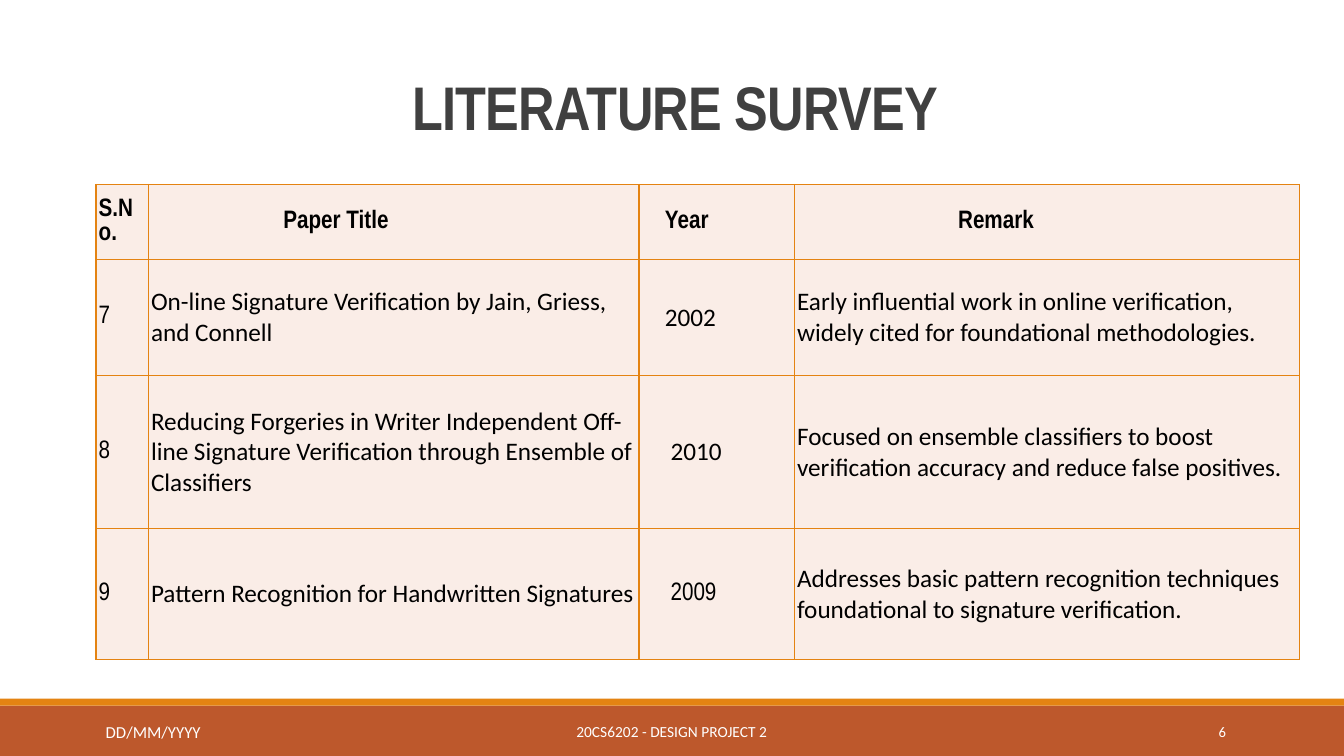
from lxml import etree
from pptx import Presentation
from pptx.dml.color import RGBColor
from pptx.enum.shapes import MSO_SHAPE
from pptx.enum.text import MSO_ANCHOR, PP_ALIGN
from pptx.oxml.ns import qn
from pptx.util import Pt

RECTANGLE = MSO_SHAPE.RECTANGLE
MIDDLE, TOP = MSO_ANCHOR.MIDDLE, MSO_ANCHOR.TOP
LEFT, CENTER, RIGHT = PP_ALIGN.LEFT, PP_ALIGN.CENTER, PP_ALIGN.RIGHT
NARROW, CALIBRI = "Arial Narrow", "Calibri"
ORANGE, RUST, BLUSH = "E48312", "BD582C", "FAEDE7"
BLACK, WHITE, CHARCOAL = "000000", "FFFFFF", "404040"


def color(hex_code):
    return RGBColor.from_string(hex_code)


def write(frame, text, size=18, font=CALIBRI, ink=BLACK, bold=False,
          align=LEFT, spacing=None, tracking=None):
    """Fill a text frame with one formatted paragraph; tracking is in points."""
    frame.word_wrap = True
    paragraph = frame.paragraphs[0]
    paragraph.alignment = align
    if spacing:
        paragraph.line_spacing = spacing
    run = paragraph.add_run()
    run.text = text
    run.font.size = Pt(size)
    run.font.name = font
    run.font.bold = bold
    run.font.color.rgb = color(ink)
    if tracking:
        run._r.get_or_add_rPr().set("spc", str(round(tracking * 100)))


prs = Presentation()
prs.slide_width, prs.slide_height = Pt(960), Pt(540)
slide = prs.slides.add_slide(prs.slide_layouts[6])

# Footer bands
for top, height, fill in [(504, 36, RUST), (499, 5, ORANGE)]:
    band = slide.shapes.add_shape(RECTANGLE, 0, Pt(top), prs.slide_width, Pt(height))
    band.shadow.inherit = False
    band.fill.solid()
    band.fill.fore_color.rgb = color(fill)
    band.line.fill.background()

# Survey table: each entry is text, font, left margin
indent = 2
papers = [
    [("S.No.", NARROW, indent), ("Paper Title", NARROW, 96.5),
     ("Year", NARROW, 18.5), ("Remark", NARROW, 117)],
    [("7", NARROW, indent),
     ("On-line Signature Verification by Jain, Griess, and Connell", CALIBRI, indent),
     ("2002", CALIBRI, 18.5),
     ("Early influential work in online verification, widely cited for "
      "foundational methodologies.", CALIBRI, indent)],
    [("8", NARROW, indent),
     ("Reducing Forgeries in Writer Independent Off-line Signature Verification "
      "through Ensemble of Classifiers", CALIBRI, indent),
     ("2010", CALIBRI, 22.5),
     ("Focused on ensemble classifiers to boost verification accuracy and reduce "
      "false positives.", CALIBRI, indent)],
    [("9", NARROW, indent),
     ("Pattern Recognition for Handwritten Signatures", CALIBRI, indent),
     ("2009", NARROW, 22.5),
     ("Addresses basic pattern recognition techniques foundational to signature "
      "verification.", CALIBRI, indent)],
]
column_widths = [37.4, 350.6, 110.9, 360.7]
row_heights = [53.5, 83, 109.4, 93.6]
survey = slide.shapes.add_table(
    len(row_heights), len(column_widths), Pt(68.5), Pt(131.8),
    Pt(sum(column_widths)), Pt(sum(row_heights))).table
for column, width in zip(survey.columns, column_widths):
    column.width = Pt(width)
for row, height in zip(survey.rows, row_heights):
    row.height = Pt(height)

for r, paper in enumerate(papers):
    for c, (text, font, margin) in enumerate(paper):
        cell = survey.cell(r, c)
        cell.vertical_anchor = MIDDLE
        cell.margin_left, cell.margin_right = Pt(margin), Pt(2)
        cell.margin_top = cell.margin_bottom = Pt(1.5)
        write(cell.text_frame, text, font=font, bold=r == 0)
        properties = cell._tc.get_or_add_tcPr()
        for side in ("a:lnL", "a:lnR", "a:lnT", "a:lnB"):
            border = etree.SubElement(properties, qn(side), w=str(Pt(1)))
            solid = etree.SubElement(border, qn("a:solidFill"))
            etree.SubElement(solid, qn("a:srgbClr"), val=ORANGE)
        cell.fill.solid()
        cell.fill.fore_color.rgb = color(BLUSH)

# Title and footer texts
labels = [
    ("LITERATURE SURVEY", (86.4, 22.3, 792, 114.5), MIDDLE,
     dict(size=44, font=NARROW, ink=CHARCOAL, bold=True, align=CENTER,
          spacing=0.85, tracking=-0.5)),
    ("20CS6202 - DESIGN PROJECT 2", (290.2, 508.3, 379.4, 28.8), MIDDLE,
     dict(size=11, ink=WHITE, align=CENTER)),
    ("6", (779.8, 508.3, 103, 28.8), MIDDLE, dict(size=10.5, ink=WHITE, align=RIGHT)),
    ("DD/MM/YYYY", (68.4, 511.9, 186.5, 21.6), TOP, dict(size=12, ink=WHITE)),
]
for text, box, anchor, style in labels:
    frame = slide.shapes.add_textbox(*map(Pt, box)).text_frame
    frame.vertical_anchor = anchor
    write(frame, text, **style)

prs.save("out.pptx")
